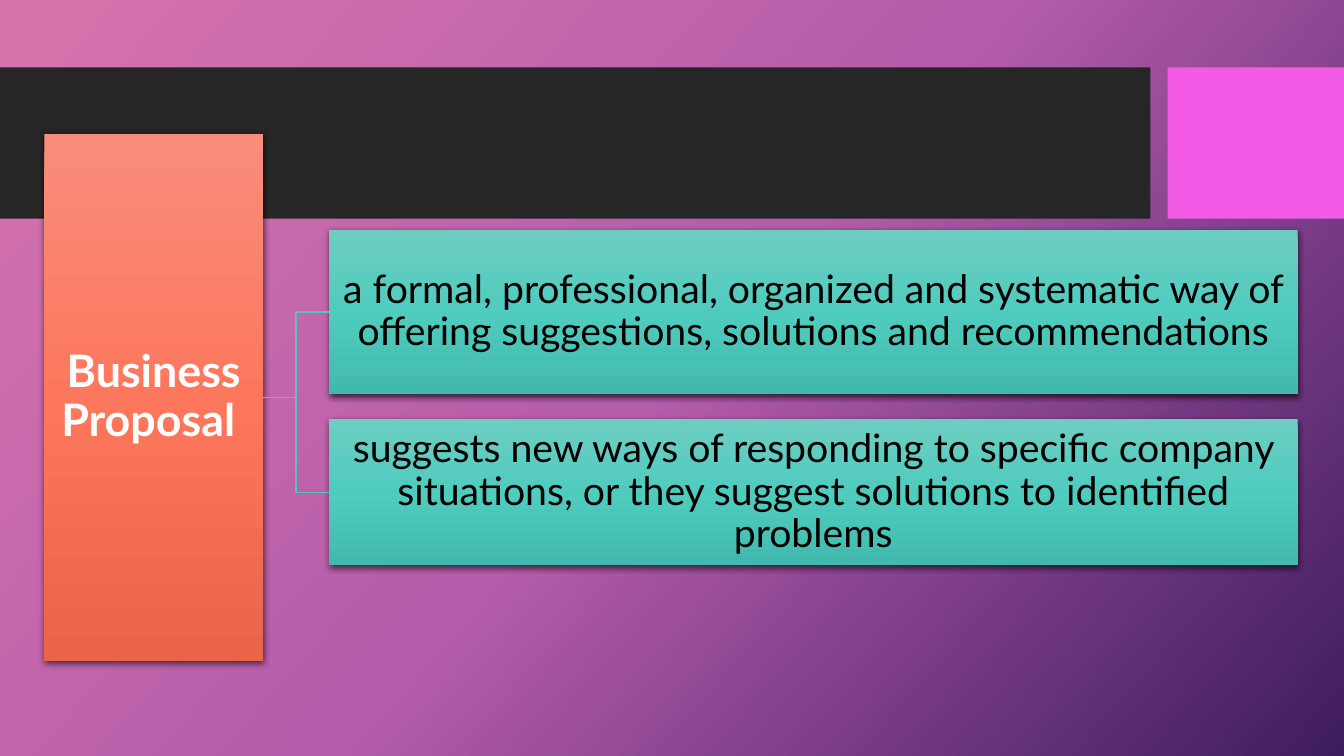
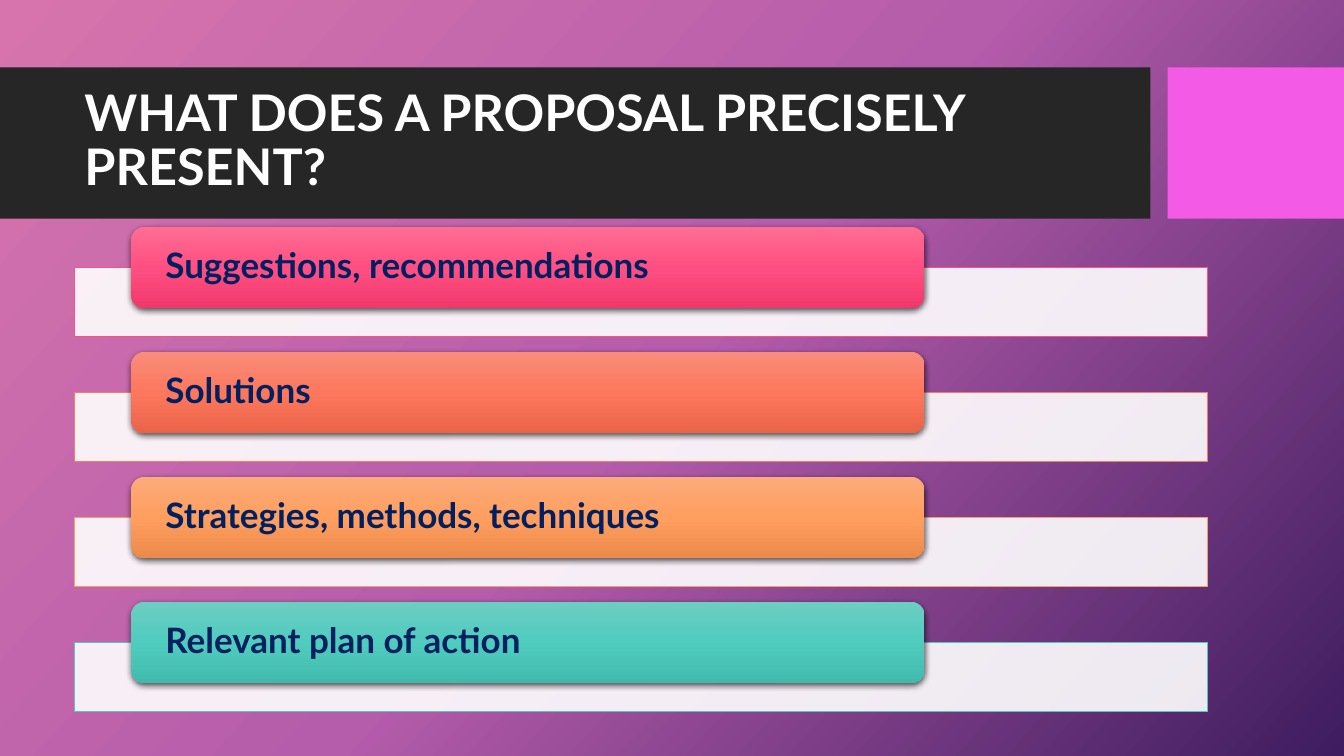
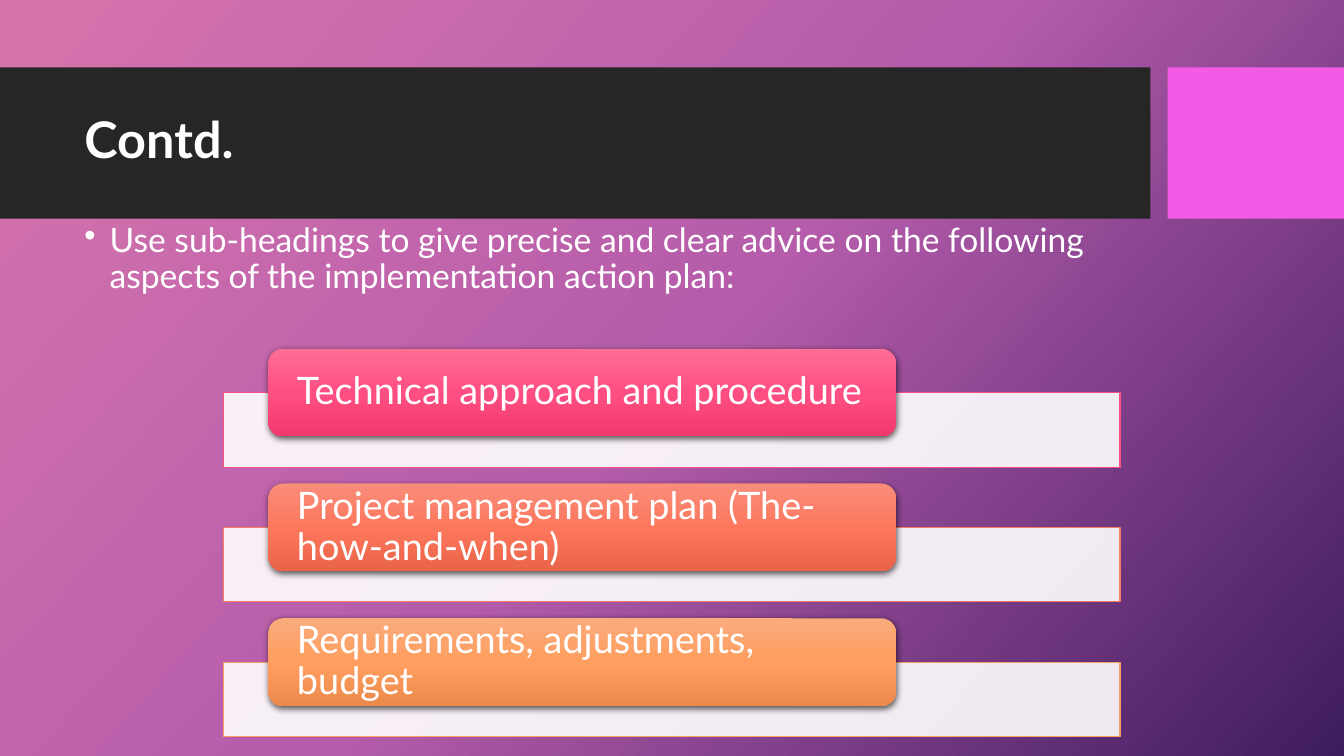
from lxml.etree import SubElement
from pptx import Presentation
from pptx.dml.color import RGBColor
from pptx.enum.shapes import MSO_CONNECTOR, MSO_SHAPE
from pptx.enum.text import MSO_ANCHOR, PP_ALIGN
from pptx.oxml.ns import qn
from pptx.util import Inches, Pt

PAGE = (0, 0, 13.33, 7.5)
FONT = "Lato"
WHITE, BLACK, NAVY = "FFFFFF", "000000", "002060"
DARK, PINK = "262626", "F35AE6"
BACK = ("D774AD", "B55CAB", "3E1C5F")
TEAL = ("6ECDC2", "4FCCBE", "41BAAD")
CORAL = ("F98D7B", "FD775D", "EA644A")
HUES = [
    (("FE6E93", "FF4F82", "F1386D"), "FC5283"),
    (CORAL, "F67C64"),
    (("FBAB7C", "FF9E5E", "EB8A4B"), "F89F65"),
    (TEAL, "55C6BA"),
]
BANDS = [((0, 8.93, 85.6, 20), DARK), ((86.87, 8.93, 13.13, 20), PINK)]
TITLE = (5.55, 10.93, 78.84, 15.73)
BODY = (5.55, 28.93, 78.84, 57.6)


def color(code):
    return RGBColor.from_string(code)


def part(box, x, y, w, h):
    left, top, wide, high = box
    return (left + wide * x / 100, top + high * y / 100,
            wide * w / 100, high * h / 100)


def blend(owner, fill, tones, angle):
    fill.gradient()
    fill.gradient_angle = 360 - angle
    stops = owner._element.find(".//" + qn("a:gsLst"))
    for stop in list(stops):
        stops.remove(stop)
    for spot, tone in enumerate(tones):
        stop = SubElement(stops, qn("a:gs"), pos=str(spot * 50000))
        SubElement(stop, qn("a:srgbClr"), val=tone)


def shade(shape):
    effects = shape._element.spPr.find(qn("a:effectLst"))
    outer = SubElement(effects, qn("a:outerShdw"), blurRad=str(Pt(4.5)),
                       dist=str(Pt(1.5)), dir="5400000", algn="ctr", rotWithShape="0")
    tone = SubElement(outer, qn("a:srgbClr"), val=BLACK)
    SubElement(tone, qn("a:alpha"), val="63000")


def block(slide, box, fill, kind=MSO_SHAPE.RECTANGLE, line=None, alpha=None):
    shape = slide.shapes.add_shape(kind, *map(Inches, box))
    shape.shadow.inherit = False
    if isinstance(fill, tuple):
        blend(shape, shape.fill, fill, 90)
        shade(shape)
    else:
        shape.fill.solid()
        shape.fill.fore_color.rgb = color(fill)
    if alpha:
        tone = shape._element.spPr.find(".//" + qn("a:srgbClr"))
        SubElement(tone, qn("a:alpha"), val=str(alpha * 1000))
    if line:
        shape.line.color.rgb = color(line)
        shape.line.width = Pt(0.75)
    else:
        shape.line.fill.background()
    return shape


def write(shape, words, size=28, tone=WHITE, bold=False, align=PP_ALIGN.LEFT,
          anchor=MSO_ANCHOR.MIDDLE, inset=(0.1, 0.05), bullet=False):
    frame = shape.text_frame
    frame.word_wrap = True
    frame.vertical_anchor = anchor
    frame.margin_left = frame.margin_right = Inches(inset[0])
    frame.margin_top = frame.margin_bottom = Inches(inset[1])
    para = frame.paragraphs[0]
    para.alignment = align
    para.line_spacing = 0.9
    if bullet:
        para.space_before = Pt(10)
        props = para._p.get_or_add_pPr()
        props.set("marL", str(Inches(0.25)))
        props.set("indent", str(Inches(-0.25)))
        SubElement(props, qn("a:buChar"), char="•")
    run = para.add_run()
    run.text = words
    font = run.font
    font.name, font.size, font.bold = FONT, Pt(size), bold
    font.color.rgb = color(tone)


def label(slide, box, words, **form):
    write(slide.shapes.add_textbox(*map(Inches, box)), words, **form)


def start(deck, title=None):
    slide = deck.slides.add_slide(deck.slide_layouts[6])
    for share, fill in BANDS:
        block(slide, part(PAGE, *share), fill)
    if title:
        label(slide, part(PAGE, *TITLE), title, size=36, bold=True)
    return slide


def link(slide, root, leaf):
    wire = slide.shapes.add_connector(MSO_CONNECTOR.ELBOW, 0, 0, 0, 0)
    wire.begin_connect(root, 3)
    wire.end_connect(leaf, 1)
    wire.line.color.rgb = color("55C6BA")
    wire.line.width = Pt(1)
    SubElement(wire._element.spPr, qn("a:effectLst"))


def tree(slide, box, head, leaves):
    form = {"align": PP_ALIGN.CENTER, "inset": (0.02, 0.02)}
    root = block(slide, part(box, 0, 0, 17.46, 100), CORAL)
    write(root, head, size=32, bold=True, **form)
    for top, high, words in leaves:
        leaf = block(slide, part(box, 22.69, top, 77.31, high), TEAL)
        write(leaf, words, tone=BLACK, **form)
        link(slide, root, leaf)


def pills(slide, box, names, **form):
    left, top, wide, high = box
    tall = high / (1.535 * (len(names) - 1) + 1.35)
    for row, (name, (tones, edge)) in enumerate(zip(names, HUES)):
        cell = (left, top + row * 1.535 * tall, wide, tall)
        block(slide, part(cell, 0, 50, 100, 85), WHITE, line=edge, alpha=90)
        pill = block(slide, part(cell, 5, 0, 70, 100), tones,
                     kind=MSO_SHAPE.ROUNDED_RECTANGLE)
        write(pill, name, **form)


def main():
    deck = Presentation()
    deck.slide_width, deck.slide_height = map(Inches, PAGE[2:])
    master = deck.slide_master
    blend(master, master.background.fill, BACK, 42)

    slide = start(deck)
    tree(slide, part(PAGE, 3.3, 17.73, 93.25, 69.73), "Business Proposal ", [
        (18.16, 31.17, "a formal, professional, organized and systematic way of "
                       "offering suggestions, solutions and recommendations"),
        (54.11, 27.72, "suggests new ways of responding to specific company "
                       "situations, or they suggest solutions to identified problems"),
    ])

    slide = start(deck, "WHAT DOES A PROPOSAL PRECISELY PRESENT?")
    pills(slide, part(PAGE, 5.55, 30, 84.32, 64.13), [
        "Suggestions, recommendations",
        "Solutions",
        "Strategies, methods, techniques",
        "Relevant plan of action",
    ], size=25, tone=NAVY, bold=True, inset=(0.3, 0))

    slide = start(deck, "Contd.")
    label(slide, part(PAGE, *BODY),
          "Use sub-headings to give precise and clear advice on the following "
          "aspects of the implementation action plan:",
          size=24, anchor=MSO_ANCHOR.TOP, bullet=True)
    pills(slide, part(PAGE, 16.65, 46.13, 66.69, 51.33), [
        "Technical approach and procedure",
        "Project management plan (The-how-and-when)",
        "Requirements, adjustments, budget",
    ], size=27, inset=(0.24, 0))

    deck.save("out.pptx")


if __name__ == "__main__":
    main()
